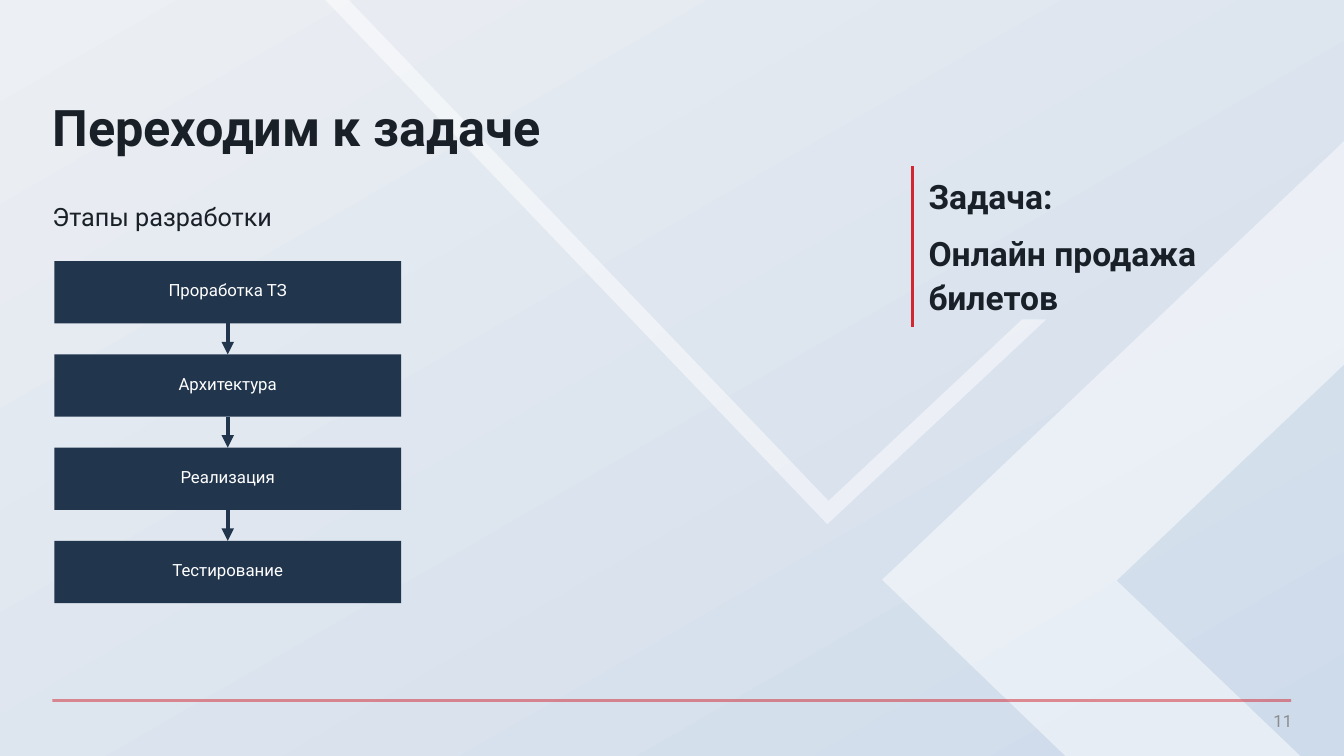
from pptx import Presentation
from pptx import util as u
from pptx.dml.color import RGBColor
from pptx.enum import shapes, text
from pptx.oxml import parse_xml
from pptx.oxml.ns import nsdecls, qn

INK = RGBColor(0x19, 0x20, 0x27)
NAVY = RGBColor(0x21, 0x35, 0x4D)
RED = RGBColor(0xD2, 0x26, 0x30)
GRAY = RGBColor(0x8C, 0x8D, 0x8E)
WHITE = RGBColor(0xFF, 0xFF, 0xFF)
SKY = (RGBColor(0xEC, 0xEF, 0xF3), RGBColor(0xCE, 0xDB, 0xEA))

LEFT, RIGHT, CENTER = text.PP_ALIGN.LEFT, text.PP_ALIGN.RIGHT, text.PP_ALIGN.CENTER
TOP, MIDDLE, BOTTOM = text.MSO_ANCHOR.TOP, text.MSO_ANCHOR.MIDDLE, text.MSO_ANCHOR.BOTTOM

THIN_CHEVRON = [(8.79, 0), (20.88, 12.62), (25.76, 8.05), (26.37, 8.05),
                (20.85, 13.21), (8.2, 0)]
WIDE_CHEVRON = [(33.87, 9.19), (28.14, 14.63), (32.77, 19.05), (26.85, 19.05),
                (22.23, 14.61), (33.87, 3.56)]
STAGES = ["Проработка ТЗ", "Архитектура", "Реализация", "Тестирование"]
STAGE_LEFT, STAGE_TOP, STAGE_WIDTH, STAGE_HEIGHT = 1.37, 6.58, 8.74, 1.57
STAGE_STEP = 2.35


def cm(*values):
    return [u.Cm(value) for value in values]


def set_alpha(fill_parent, percent):
    """Make the solid colour found under an element partly transparent."""
    color = next(fill_parent.iter(qn("a:srgbClr")))
    color.append(parse_xml(f'<a:alpha {nsdecls("a")} val="{percent * 1000}"/>'))


class SlideBuilder:
    font_name = "Roboto"

    def __init__(self, slide):
        self.slide = slide
        self.shapes = slide.shapes

    def background(self, colors, angle):
        fill = self.slide.background.fill
        fill.gradient()
        fill.gradient_angle = angle
        for stop, color in zip(fill.gradient_stops, colors):
            stop.color.rgb = color

    def add_words(self, paragraph, words, size, color, bold=False, align=LEFT):
        paragraph.alignment = align
        run = paragraph.add_run()
        run.text = words
        run.font.name = self.font_name
        run.font.size = u.Pt(size)
        run.font.bold = bold
        run.font.color.rgb = color

    def frame(self, shape, anchor, insets, wrap=True):
        """Set up the text frame of a shape and return its first paragraph."""
        frame = shape.text_frame
        frame.word_wrap = wrap
        frame.auto_size = text.MSO_AUTO_SIZE.NONE
        frame.vertical_anchor = anchor
        (frame.margin_left, frame.margin_top,
         frame.margin_right, frame.margin_bottom) = cm(*insets)
        return frame.paragraphs[0]

    def chevron(self, points):
        start, *rest = [cm(*point) for point in points]
        builder = self.shapes.build_freeform(*start)
        builder.add_line_segments(rest, close=True)
        shape = builder.convert_to_shape()
        shape.shadow.inherit = False
        shape.fill.solid()
        shape.fill.fore_color.rgb = WHITE
        set_alpha(shape._element.spPr, 50)
        shape.line.fill.background()

    def title(self, words, box):
        title = self.shapes.title
        self.shapes._spTree.append(title._element)  # bring above the chevrons
        title.left, title.top, title.width, title.height = cm(*box)
        paragraph = self.frame(title, BOTTOM, (0, 0.13, 0.25, 0.13))
        paragraph.line_spacing = 0.85
        self.add_words(paragraph, words, 36, INK, bold=True)

    def label(self, words, box, size, color, align=LEFT, anchor=TOP, wrap=True):
        shape = self.shapes.add_textbox(*cm(*box))
        paragraph = self.frame(shape, anchor, (0.25, 0.13, 0.25, 0.13), wrap)
        self.add_words(paragraph, words, size, color, align=align)

    def stage(self, words, box):
        shape = self.shapes.add_shape(shapes.MSO_SHAPE.RECTANGLE, *cm(*box))
        shape.shadow.inherit = False
        shape.fill.solid()
        shape.fill.fore_color.rgb = NAVY
        shape.line.fill.background()
        paragraph = self.frame(shape, MIDDLE, (0.41, 0.41, 0.41, 0.51))
        self.add_words(paragraph, words, 12, WHITE, align=CENTER)

    def line(self, ends, color, width, arrow=False, alpha=100):
        connector = self.shapes.add_connector(
            shapes.MSO_CONNECTOR.STRAIGHT, *cm(*ends))
        connector.line.color.rgb = color
        connector.line.width = u.Pt(width)
        properties = connector._element.spPr
        if alpha < 100:
            set_alpha(properties, alpha)
        if arrow:
            properties.find(qn("a:ln")).append(
                parse_xml(f'<a:tailEnd {nsdecls("a")} type="triangle"/>'))
        properties.append(parse_xml(f'<a:effectLst {nsdecls("a")}/>'))

    def task_table(self, lines, box):
        """Add a one-cell table whose only border is a red bar on the left."""
        table = self.shapes.add_table(1, 1, *cm(*box)).table
        table.first_row = table.horz_banding = False
        cell = table.cell(0, 0)
        cell.fill.background()
        cell.vertical_anchor = MIDDLE
        (cell.margin_left, cell.margin_top,
         cell.margin_right, cell.margin_bottom) = cm(0.41, 0.2, 0, 0.2)
        bar = f'<a:solidFill><a:srgbClr val="{RED}"/></a:solidFill>'
        properties = cell._tc.get_or_add_tcPr()
        for index, side in enumerate("LRTB"):
            paint = bar if side == "L" else "<a:noFill/>"
            properties.insert(index, parse_xml(
                f'<a:ln{side} {nsdecls("a")} w="{u.Pt(2.25)}">{paint}</a:ln{side}>'))
        frame = cell.text_frame
        for index, words in enumerate(lines):
            paragraph = frame.add_paragraph() if index else frame.paragraphs[0]
            paragraph.line_spacing = 1.1
            paragraph.space_before = u.Pt(4 if index else 0)
            paragraph.space_after = u.Pt(6)
            self.add_words(paragraph, words, 24, INK, bold=True)


def main():
    presentation = Presentation()
    presentation.slide_width, presentation.slide_height = cm(33.87, 19.05)
    title_only = presentation.slide_layouts[5]
    builder = SlideBuilder(presentation.slides.add_slide(title_only))

    builder.background(SKY, 300)
    builder.chevron(THIN_CHEVRON)
    builder.chevron(WIDE_CHEVRON)
    builder.line((32.54, 17.65, 1.32, 17.65), RED, 2, alpha=50)
    builder.title("Переходим к задаче", (1.32, 2.51, 27.28, 1.57))
    builder.label("Этапы разработки", (1.07, 4.95, 6.12, 1.02), 18, INK, wrap=False)

    middle = STAGE_LEFT + STAGE_WIDTH / 2
    for index, name in enumerate(STAGES):
        top = STAGE_TOP + index * STAGE_STEP
        builder.stage(name, (STAGE_LEFT, top, STAGE_WIDTH, STAGE_HEIGHT))
        if index:
            previous_bottom = top - STAGE_STEP + STAGE_HEIGHT
            builder.line((middle, previous_bottom, middle, top), NAVY, 3, arrow=True)

    builder.task_table(["Задача:", "Онлайн продажа билетов"], (22.99, 4.19, 9.83, 4.04))
    builder.label("11", (25.2, 17.65, 7.62, 1.02), 12, GRAY, align=RIGHT, anchor=MIDDLE)
    presentation.save("out.pptx")


if __name__ == "__main__":
    main()
